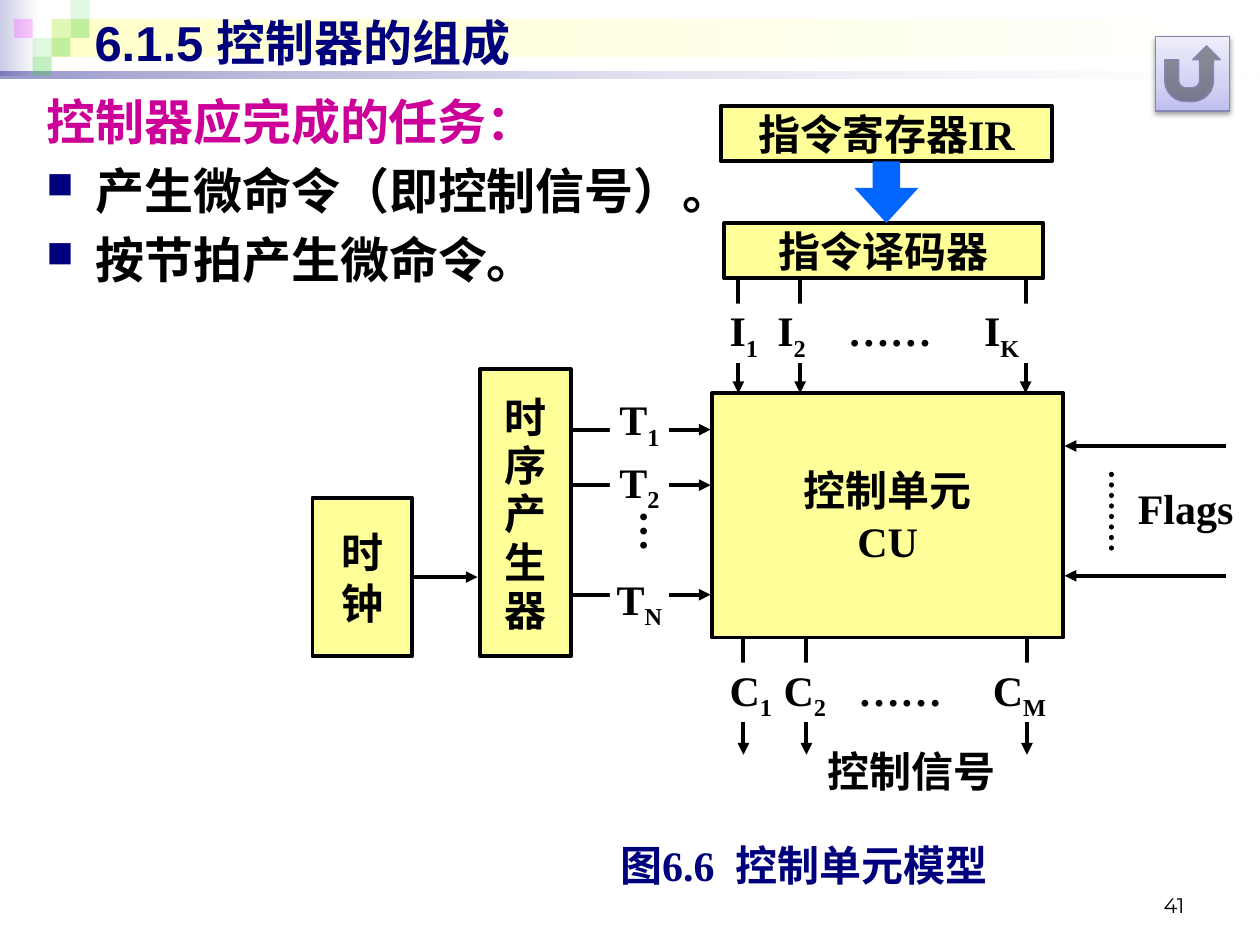
from dataclasses import dataclass

from lxml import etree
from pptx import Presentation
from pptx.dml.color import RGBColor
from pptx.enum.dml import MSO_LINE
from pptx.enum.shapes import MSO_CONNECTOR, MSO_SHAPE
from pptx.enum.text import MSO_ANCHOR, MSO_AUTO_SIZE, PP_ALIGN
from pptx.oxml.ns import qn
from pptx.util import Inches, Pt

RECT, DOWN_ARROW = MSO_SHAPE.RECTANGLE, MSO_SHAPE.DOWN_ARROW
RETURN_BUTTON = MSO_SHAPE.ACTION_BUTTON_RETURN
LEFT, CENTER, RIGHT = PP_ALIGN.LEFT, PP_ALIGN.CENTER, PP_ALIGN.RIGHT
TOP, MIDDLE, BOTTOM = MSO_ANCHOR.TOP, MSO_ANCHOR.MIDDLE, MSO_ANCHOR.BOTTOM


@dataclass(frozen=True)
class Theme:
    navy: str = "00007D"
    magenta: str = "CC0099"
    black: str = "000000"
    white: str = "FFFFFF"
    block: str = "FFFF99"
    arrow: str = "0066FF"
    green: str = "33CC33"
    pink: str = "FF00FF"
    button_line: str = "8686B6"
    heading_font: str = "Arial"
    body_font: str = "Times New Roman"
    number_font: str = "Montserrat"
    heading: int = 28
    label: int = 24
    number: int = 12
    line: float = 2.25


THEME = Theme()


@dataclass(frozen=True)
class Box:
    left: float
    top: float
    width: float
    height: float

    def inner(self, left, top, width, height):
        return Box(self.left + left, self.top + top, width, height)

    def inches(self):
        return [Inches(round(v, 2)) for v in (self.left, self.top, self.width, self.height)]


def add_xml(parent, tag, **attributes):
    return etree.SubElement(parent, qn(tag), attributes)


def set_alpha(color, percent):
    add_xml(color, "a:alpha", val=str(percent * 1000))


def set_gradient(shape, stops, angle=0):
    """Fill with (position, colour, opacity) stops, angle in degrees."""
    shape.fill.background()
    old = shape._element.spPr.find(qn("a:noFill"))
    gradient = etree.Element(qn("a:gradFill"), rotWithShape="1")
    stop_list = add_xml(gradient, "a:gsLst")
    for position, color, opacity in stops:
        stop = add_xml(stop_list, "a:gs", pos=str(position * 1000))
        set_alpha(add_xml(stop, "a:srgbClr", val=color), opacity)
    add_xml(gradient, "a:lin", ang=str(angle * 60000), scaled="0")
    old.getparent().replace(old, gradient)


def add_shape(page, box, fill=None, line=None, kind=RECT, width=THEME.line):
    shape = page.shapes.add_shape(kind, *box.inches())
    shape.shadow.inherit = False
    if fill:
        shape.fill.solid()
        shape.fill.fore_color.rgb = RGBColor.from_string(fill)
    if line:
        shape.line.color.rgb = RGBColor.from_string(line)
        shape.line.width = Pt(width)
    else:
        shape.line.fill.background()
    return shape


def set_frame(shape, anchor=MIDDLE, insets=(0, 0, 0, 0), wrap=True):
    frame = shape.text_frame
    frame.auto_size = MSO_AUTO_SIZE.NONE
    frame.word_wrap = wrap
    frame.vertical_anchor = anchor
    (frame.margin_left, frame.margin_top,
     frame.margin_right, frame.margin_bottom) = map(Inches, insets)
    return frame


def add_span(para, text, size=THEME.label, color=THEME.black,
             font=THEME.body_font, bold=True):
    span = para.add_run()
    span.text = text
    span.font.size, span.font.name, span.font.bold = Pt(size), font, bold
    span.font.color.rgb = RGBColor.from_string(color)
    return span


def write(frame, paragraphs, align=CENTER, gaps=(), spacing=None, **style):
    """Write paragraphs whose spans alternate between baseline and subscript."""
    for index, spans in enumerate(paragraphs):
        para = frame.add_paragraph() if index else frame.paragraphs[0]
        para.alignment = align
        if spacing:
            para.line_spacing = spacing
        if index and gaps:
            para.space_before = Pt(gaps[index - 1])
        for place, text in enumerate(spans):
            span = add_span(para, text, **style)
            if place % 2:
                span.font._element.set("baseline", "-25000")


def add_block(page, box, *lines, insets=(0.1, 0, 0.1, 0), spacing=None):
    block = add_shape(page, box, THEME.block, THEME.black)
    write(set_frame(block, insets=insets), [[line] for line in lines], spacing=spacing)
    return block


def add_label(page, box, *paragraphs, wrap=True, **style):
    label = add_shape(page, box, THEME.white)
    write(set_frame(label, wrap=wrap), paragraphs, **style)
    return label


def add_line(page, box, start, end, arrow=True, width=THEME.line):
    points = [Inches(round(v, 2)) for x, y in (start, end)
              for v in (box.left + x, box.top + y)]
    line = page.shapes.add_connector(MSO_CONNECTOR.STRAIGHT, *points)
    line.line.color.rgb = RGBColor.from_string(THEME.black)
    line.line.width = Pt(width)
    if arrow:
        add_xml(line.line._get_or_add_ln(), "a:tailEnd", type="triangle")
    add_xml(line._element.spPr, "a:effectLst")
    return line


def draw_header(page, box):
    bands = [((0, 0, 0.31, 0.6), ("CCCCE6", 100), 100),
             ((0.41, 0.15, 9.55, 0.3), ("FFFFCC", 100), 100),
             ((0, 0.57, 10, 0.05), (THEME.navy, 40), 10)]
    for place, start, end_opacity in bands:
        set_gradient(add_shape(page, box.inner(*place)),
                     [(0, *start), (100, THEME.white, end_opacity)])
    side = 0.15
    tiles = [(2, 1, THEME.green, 15), (3, 0, THEME.green, 15), (3, 1, THEME.green, 30),
             (1, 2, THEME.green, 15), (0, 1, THEME.pink, 20), (2, 2, THEME.green, 30),
             (1, 3, THEME.green, 30)]
    for column, row, color, opacity in tiles:
        tile = add_shape(page, box.inner(0.11 + column * side, row * side, side, side), color)
        set_alpha(tile._element.spPr.find(".//" + qn("a:srgbClr")), opacity)

    title = page.shapes.title
    page.shapes._spTree.append(title._element)
    title.left, title.top, title.width, title.height = box.inner(0.65, 0.05, 9.23, 0.57).inches()
    write(set_frame(title, insets=(0.1, 0.05, 0.1, 0.05)), [["6.1.5 控制器的组成"]], LEFT,
          size=THEME.heading, color=THEME.navy, font=THEME.heading_font)


def draw_tasks(page, box):
    frame = set_frame(page.shapes.add_textbox(*box.inches()), TOP, (0.1, 0.05, 0.1, 0.05))
    lines = [("控制器应完成的任务：", THEME.magenta, THEME.heading_font),
             ("产生微命令（即控制信号）。", THEME.black, THEME.body_font),
             ("按节拍产生微命令。", THEME.black, THEME.body_font)]
    for index, (text, color, font) in enumerate(lines):
        para = frame.add_paragraph() if index else frame.paragraphs[0]
        properties = para._p.get_or_add_pPr()
        properties.set("marL", str(Inches(0.39)))
        properties.set("indent", str(-Inches(0.39)))
        if index:
            para.space_before = Pt(5.6)
            add_xml(add_xml(properties, "a:buClr"), "a:srgbClr", val=THEME.navy)
            add_xml(properties, "a:buSzPct", val="75000")
            add_xml(properties, "a:buChar", char="■")
        add_span(para, text, THEME.heading, color, font)


def draw_signals(page, box, lines, labels, tabs):
    """Draw three downward arrows and the row of names that interrupts them."""
    for x in lines:
        add_line(page, box, (x, 0), (x, box.height))
    row = add_label(page, box.inner(0, 0.2, box.width, 0.47), labels, align=LEFT, spacing=0.8)
    tab_list = add_xml(row.text_frame.paragraphs[0]._p.get_or_add_pPr(), "a:tabLst")
    for stop in tabs:
        add_xml(tab_list, "a:tab", pos=str(Inches(stop)), algn="l")


def draw_timing(page, box):
    clock = add_block(page, box.inner(0, 1.02, 0.79, 1.26), "时", "钟",
                      insets=(0.1, 0.05, 0.1, 0.05))
    add_block(page, box.inner(1.33, 0, 0.72, 2.28), "时序产生器",
              insets=(0.06, 0.04, 0.06, 0), spacing=0.96)
    add_line(page, box, (0.79, 1.65), (1.31, 1.65)).begin_connect(clock, 3)
    for y in (0.48, 0.92, 1.79):
        add_line(page, box, (2.05, y), (3.16, y))
    add_label(page, box.inner(2.36, 0.23, 0.47, 1.81),
              ["T", "1"], ["T", "2"], ["T", "N"], gaps=(3, 34))
    dots = page.shapes.add_textbox(*box.inner(2.39, 1.02, 0.6, 0.87).inches())
    frame = set_frame(dots, TOP, (0.1, 0.05, 0.1, 0.05))
    frame._txBody.bodyPr.set("vert", "eaVert")
    write(frame, [["…"]])


def draw_flags(page, box):
    for y in (0, box.height):
        add_line(page, box, (box.width, y), (0, y))
    add_label(page, box.inner(0.58, 0.26, 0.65, 0.46), ["Flags"], align=LEFT, wrap=False)
    dots = add_line(page, box, (0.37, 0.81), (0.37, 0.17), arrow=False, width=3)
    dots.line.dash_style = MSO_LINE.ROUND_DOT
    dots.line._get_or_add_ln().set("cap", "rnd")


def draw_control_unit(page, box):
    add_block(page, box.inner(3.17, 2.28, 2.79, 1.94), "控制单元", "CU")
    add_block(page, box.inner(3.24, 0, 2.63, 0.44), "指令寄存器IR")
    add_block(page, box.inner(3.27, 0.93, 2.53, 0.44), "指令译码器")
    arrow = add_shape(page, box.inner(4.3, 0.44, 0.51, 0.49), THEME.arrow, kind=DOWN_ARROW)
    arrow.adjustments[0], arrow.adjustments[1] = 0.43, 0.57
    draw_signals(page, box.inner(3.31, 1.37, 2.76, 0.91), (0.07, 0.56, 2.35),
                 ["I", "1\t", "I", "2\t", "……\tI", "K"], (0.38, 0.94, 2.02))
    draw_signals(page, box.inner(3.31, 4.22, 2.66, 0.93), (0.11, 0.61, 2.36),
                 ["C", "1\t", "C", "2\t", "……\tC", "M"], (0.43, 1.02, 2.09))
    add_label(page, box.inner(4.09, 5.08, 1.33, 0.4), ["控制信号"], align=LEFT, wrap=False)
    draw_timing(page, box.inner(0, 2.09, 3.16, 2.28))
    draw_flags(page, box.inner(5.97, 2.7, 1.28, 1.03))


def draw_return_button(page, box):
    button = add_shape(page, box, line=THEME.button_line, kind=RETURN_BUTTON, width=0.75)
    set_gradient(button, [(0, "BFBFF0", 100), (35, "D2D2F3", 100), (100, "EDEDFB", 100)], 270)
    shadow = add_xml(button._element.spPr.find(qn("a:effectLst")), "a:outerShdw",
                     blurRad=str(Pt(3.1)), dist=str(Pt(1.6)), dir="5400000", rotWithShape="0")
    set_alpha(add_xml(shadow, "a:srgbClr", val=THEME.black), 38)


def draw_footer(page, caption_box, number_box):
    add_label(page, caption_box, ["图6.6  控制单元模型"], color=THEME.navy)
    number = page.shapes.add_textbox(*number_box.inches())
    write(set_frame(number, BOTTOM, (0.1, 0.05, 0.1, 0.05)), [["41"]], RIGHT,
          size=THEME.number, font=THEME.number_font, bold=False)


def main():
    deck = Presentation()
    deck.slide_width, deck.slide_height = Inches(10), Inches(7.5)
    page = deck.slides.add_slide(deck.slide_layouts[5])
    draw_header(page, Box(0, 0, 10, 0.62))
    draw_tasks(page, Box(0.27, 0.68, 9.61, 6.69))
    draw_footer(page, Box(4.53, 6.66, 3.7, 0.4), Box(7.17, 6.83, 2.33, 0.5))
    draw_control_unit(page, Box(2.48, 0.84, 7.25, 5.48))
    draw_return_button(page, Box(9.17, 0.29, 0.59, 0.59))
    deck.save("out.pptx")


if __name__ == "__main__":
    main()
